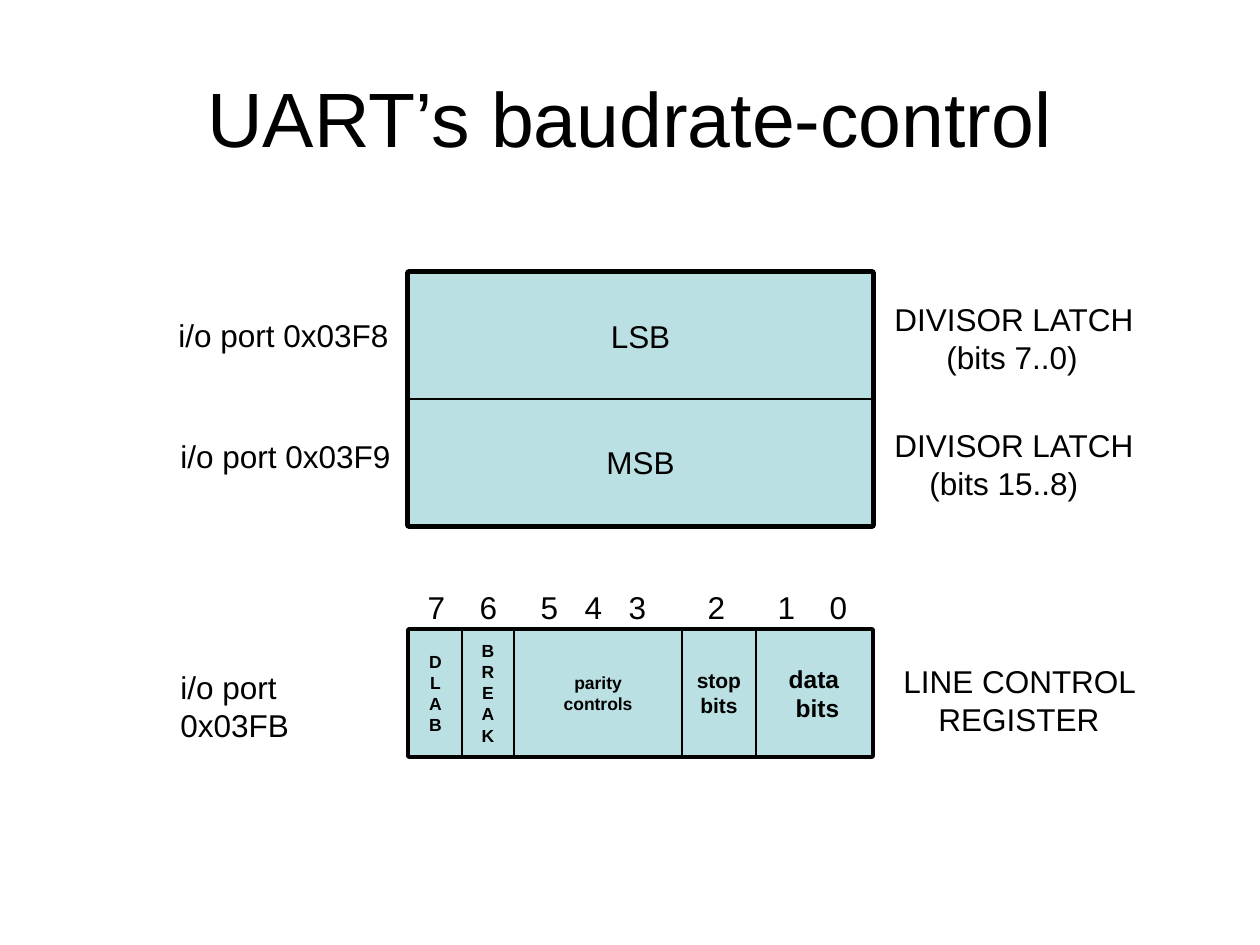
"""Build a slide on the UART registers that control the baud rate."""
from dataclasses import dataclass

from lxml import etree
from pptx import Presentation, util as u
from pptx.dml.color import RGBColor
from pptx.enum import shapes, text
from pptx.oxml.ns import qn


@dataclass(frozen=True)
class Theme:
    font: str = "Arial"
    ink: RGBColor = RGBColor.from_string("000000")
    cell: RGBColor = RGBColor.from_string("BBE0E3")
    title: int = 44
    label: int = 18
    data: int = 14
    stop: int = 12
    small: int = 10


theme = Theme()
PX = u.Inches(1) / 126
LEFT, WIDTH, HEIGHT = 409, 463, 126
LATCH_TOP, CONTROL_TOP = 273, 630


def write(box, words, size=theme.label, bold=False, align=text.PP_ALIGN.LEFT,
          anchor=text.MSO_ANCHOR.TOP, wrap=False, indent=0, tabs=()):
    frame = box.text_frame
    frame.word_wrap = wrap
    frame.vertical_anchor = anchor
    for index, line in enumerate(words.split("\n")):
        para = frame.add_paragraph() if index else frame.paragraphs[0]
        para.alignment = align
        properties = para._p.get_or_add_pPr()
        if index and indent:
            properties.set("marL", str(int(indent * PX)))
            properties.set("indent", "0")
        if tabs:
            stops = etree.SubElement(properties, qn("a:tabLst"))
            for stop in tabs:
                etree.SubElement(stops, qn("a:tab"), pos=str(int(stop * PX)), algn="ctr")
        span = para.add_run()
        span.text = line
        span.font.name = theme.font
        span.font.size = u.Pt(size)
        span.font.bold = bold
        span.font.color.rgb = theme.ink


def add_box(page, left, top, width, height, line=None):
    place = [int(value * PX) for value in (left, top, width, height)]
    if line is None:
        return page.shapes.add_textbox(*place)
    box = page.shapes.add_shape(shapes.MSO_SHAPE.RECTANGLE, *place)
    box.shadow.inherit = False
    box.fill.solid()
    box.fill.fore_color.rgb = theme.cell
    box.line.color.rgb = theme.ink
    box.line.width = u.Pt(line)
    return box


deck = Presentation()
deck.slide_width, deck.slide_height = u.Inches(10), u.Inches(7.5)
page = deck.slides.add_slide(deck.slide_layouts[6])
centred = {"align": text.PP_ALIGN.CENTER, "anchor": text.MSO_ANCHOR.MIDDLE}

title = add_box(page, 63, 38, 1134, 157)
write(title, "UART’s baudrate-control", size=theme.title, wrap=True, **centred)

add_box(page, LEFT, LATCH_TOP, WIDTH, 2 * HEIGHT, line=4.5)
for row, name in enumerate(("LSB", "MSB")):
    latch = add_box(page, LEFT, LATCH_TOP + row * HEIGHT, WIDTH, HEIGHT, line=0.75)
    write(latch, name, **centred)

add_box(page, LEFT, CONTROL_TOP, WIDTH, HEIGHT, line=3)
fields = (
    ("D\nL\nA\nB", 53, theme.small, 0),
    ("B\nR\nE\nA\nK", 52, theme.small, 0),
    ("parity\ncontrols", 168, theme.small, 0),
    ("stop\nbits", 74, theme.stop, 0),
    ("data\nbits", 116, theme.data, 7),
)
left = LEFT
for name, width, size, indent in fields:
    field = add_box(page, left, CONTROL_TOP, width, HEIGHT, line=0.75)
    write(field, name, size=size, bold=True, indent=indent, **centred)
    left += width

bits = add_box(page, 407, 582, 454, 50)
write(bits, "\t7\t6\t5\t4\t3\t2\t1\t0", wrap=True,
      tabs=(17, 69, 130, 174, 218, 297, 367, 419))

labels = (
    ("i/o port 0x03F8", 166, 310, 236, 50, 0),
    ("i/o port 0x03F9", 168, 431, 236, 50, 0),
    ("i/o port 0x03FB", 168, 662, 238, 50, 0),
    ("DIVISOR LATCH\n(bits 7..0)", 882, 294, 275, 88, 52),
    ("DIVISOR LATCH\n(bits 15..8)", 882, 420, 275, 88, 35),
    ("LINE CONTROL\nREGISTER", 891, 656, 258, 88, 35),
)
for words, left, top, width, height, indent in labels:
    write(add_box(page, left, top, width, height), words, indent=indent)

deck.save("out.pptx")
